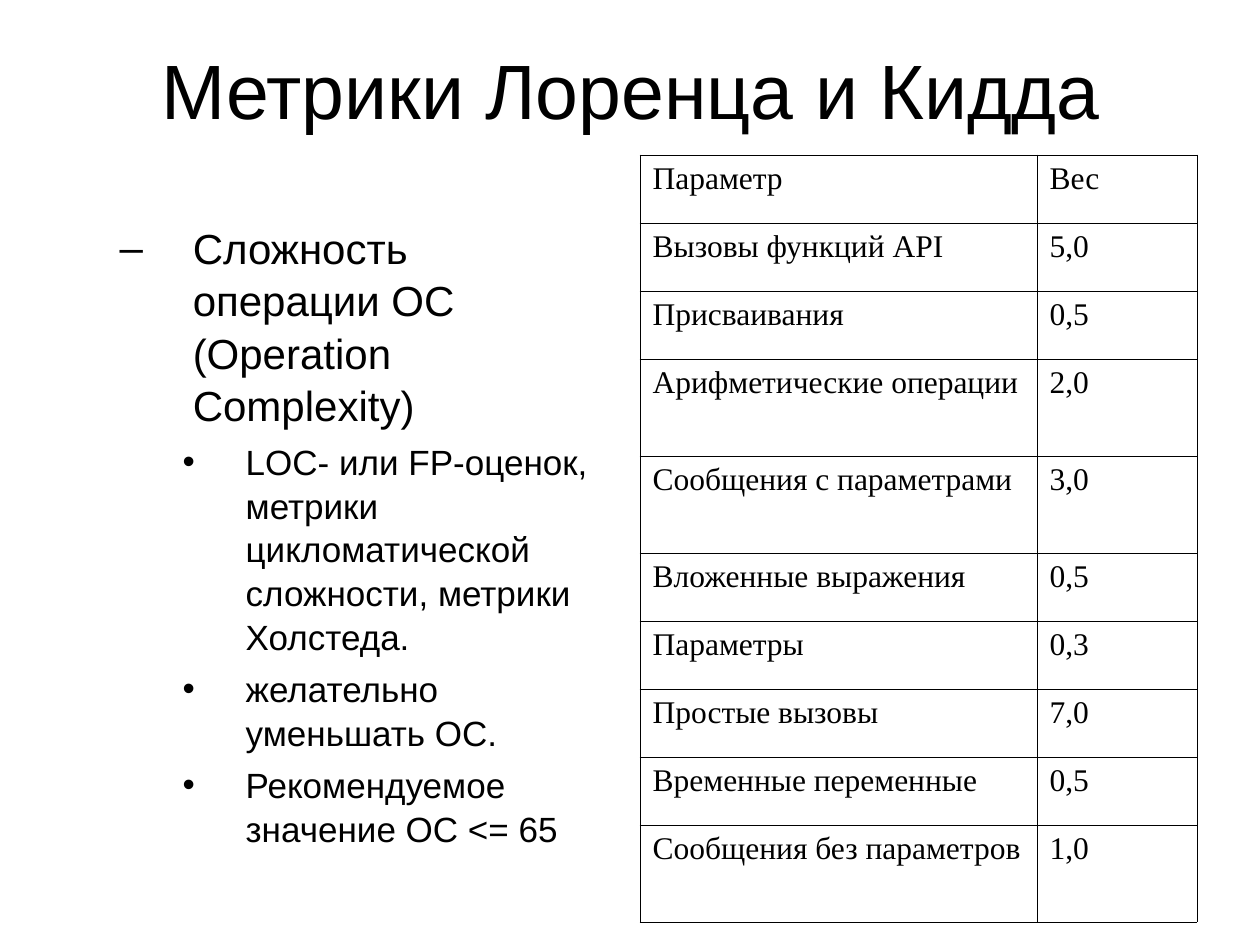
from lxml.etree import SubElement
from pptx import Presentation
from pptx.dml.color import RGBColor
from pptx.enum.text import MSO_ANCHOR, MSO_AUTO_SIZE, PP_ALIGN
from pptx.oxml.ns import qn
from pptx.util import Inches, Pt

TITLE = "Метрики Лоренца и Кидда"

# (level, text)
METRIC_NOTES = [
    (1, "Сложность операции ОС (Operation Complexity)"),
    (2, "LOC- или FP-оценок, метрики цикломатической сложности, метрики Холстеда."),
    (2, "желательно уменьшать ОС."),
    (2, "Рекомендуемое значение ОС <= 65"),
]

# Text size, space before, left margin, hanging indent and bullet of each level
LEVELS = {
    1: (24, 6, 1.08, -0.58, "–"),
    2: (20, 5, 1.5, -0.5, "•"),
}

WEIGHTS = [
    ("Параметр", "Вес"),
    ("Вызовы функций API", "5,0"),
    ("Присваивания", "0,5"),
    ("Арифметические операции", "2,0"),
    ("Сообщения с параметрами", "3,0"),
    ("Вложенные выражения", "0,5"),
    ("Параметры", "0,3"),
    ("Простые вызовы", "7,0"),
    ("Временные переменные", "0,5"),
    ("Сообщения без параметров", "1,0"),
]
ROW_HEIGHT, TALL_ROW_HEIGHT = 0.54, 0.77
TALL_ROWS = {3, 4, 9}


def color(hex_value):
    return RGBColor.from_string(hex_value)


def apply(target, values):
    for name, value in values.items():
        setattr(target, name, value)


class SlideBuilder:
    ink = "000000"
    heading_font = "Arial"
    table_font = "Times New Roman"
    border_width = 0.45

    def __init__(self, slide):
        self.slide = slide

    def style_font(self, font, name, size):
        apply(font, {"name": name, "size": Pt(size)})
        font.color.rgb = color(self.ink)

    def place(self, placeholder, left, top, width, height, anchor):
        apply(placeholder, {"left": Inches(left), "top": Inches(top),
                            "width": Inches(width), "height": Inches(height)})
        apply(placeholder.text_frame, {"word_wrap": True, "vertical_anchor": anchor,
                                       "auto_size": MSO_AUTO_SIZE.NONE})
        return placeholder.text_frame

    def indent(self, paragraph, left, hanging):
        properties = paragraph._p.get_or_add_pPr()
        properties.set("marL", str(Inches(left)))
        properties.set("indent", str(Inches(hanging)))
        return properties

    def title(self, text, *box):
        frame = self.place(self.slide.shapes.title, *box, MSO_ANCHOR.MIDDLE)
        frame.text = text
        heading = frame.paragraphs[0]
        heading.alignment = PP_ALIGN.CENTER
        self.style_font(heading.runs[0].font, self.heading_font, 44)

    def bullets(self, notes, *box):
        frame = self.place(self.slide.placeholders[1], *box, MSO_ANCHOR.TOP)
        for index, (level, text) in enumerate(notes):
            size, space, left, hanging, mark = LEVELS[level]
            note = frame.add_paragraph() if index else frame.paragraphs[0]
            note.text = text
            apply(note, {"level": level, "space_before": Pt(space),
                         "line_spacing": 1.04, "alignment": PP_ALIGN.LEFT})
            self.style_font(note.runs[0].font, self.heading_font, size)
            properties = self.indent(note, left, hanging)
            SubElement(properties, qn("a:buChar"), char=mark)

    def borders(self, cell):
        properties = cell._tc.get_or_add_tcPr()
        for position, side in enumerate(("a:lnL", "a:lnR", "a:lnT", "a:lnB")):
            line = SubElement(properties, qn(side), w=str(Pt(self.border_width)))
            fill = SubElement(line, qn("a:solidFill"))
            SubElement(fill, qn("a:srgbClr"), val=self.ink)
            properties.insert(position, line)  # borders precede the cell fill

    def table(self, rows, left, top, column_widths):
        heights = [TALL_ROW_HEIGHT if index in TALL_ROWS else ROW_HEIGHT
                   for index in range(len(rows))]
        table = self.slide.shapes.add_table(
            len(rows), len(column_widths), Inches(left), Inches(top),
            Inches(sum(column_widths)), Inches(sum(heights))).table
        apply(table, {"first_row": False, "horz_banding": False})
        for column, width in zip(table.columns, column_widths):
            column.width = Inches(width)
        for row, height, texts in zip(table.rows, heights, rows):
            row.height = Inches(height)
            for cell, text in zip(row.cells, texts):
                cell.text = text
                cell.fill.background()
                paragraph = cell.text_frame.paragraphs[0]
                self.indent(paragraph, 0.38, -0.38)
                self.style_font(paragraph.runs[0].font, self.table_font, 18)
                self.borders(cell)


def main():
    deck = Presentation()
    apply(deck, {"slide_width": Inches(10), "slide_height": Inches(7.5)})
    builder = SlideBuilder(deck.slides.add_slide(deck.slide_layouts[1]))

    # Heading
    builder.title(TITLE, 0.51, 0.28, 9, 0.85)
    # Operation complexity notes
    builder.bullets(METRIC_NOTES, 0.35, 1.7, 4.42, 5.2)
    # Parameter weights
    builder.table(WEIGHTS, 5.08, 1.23, (3.15, 1.27))

    deck.save("out.pptx")


if __name__ == "__main__":
    main()
